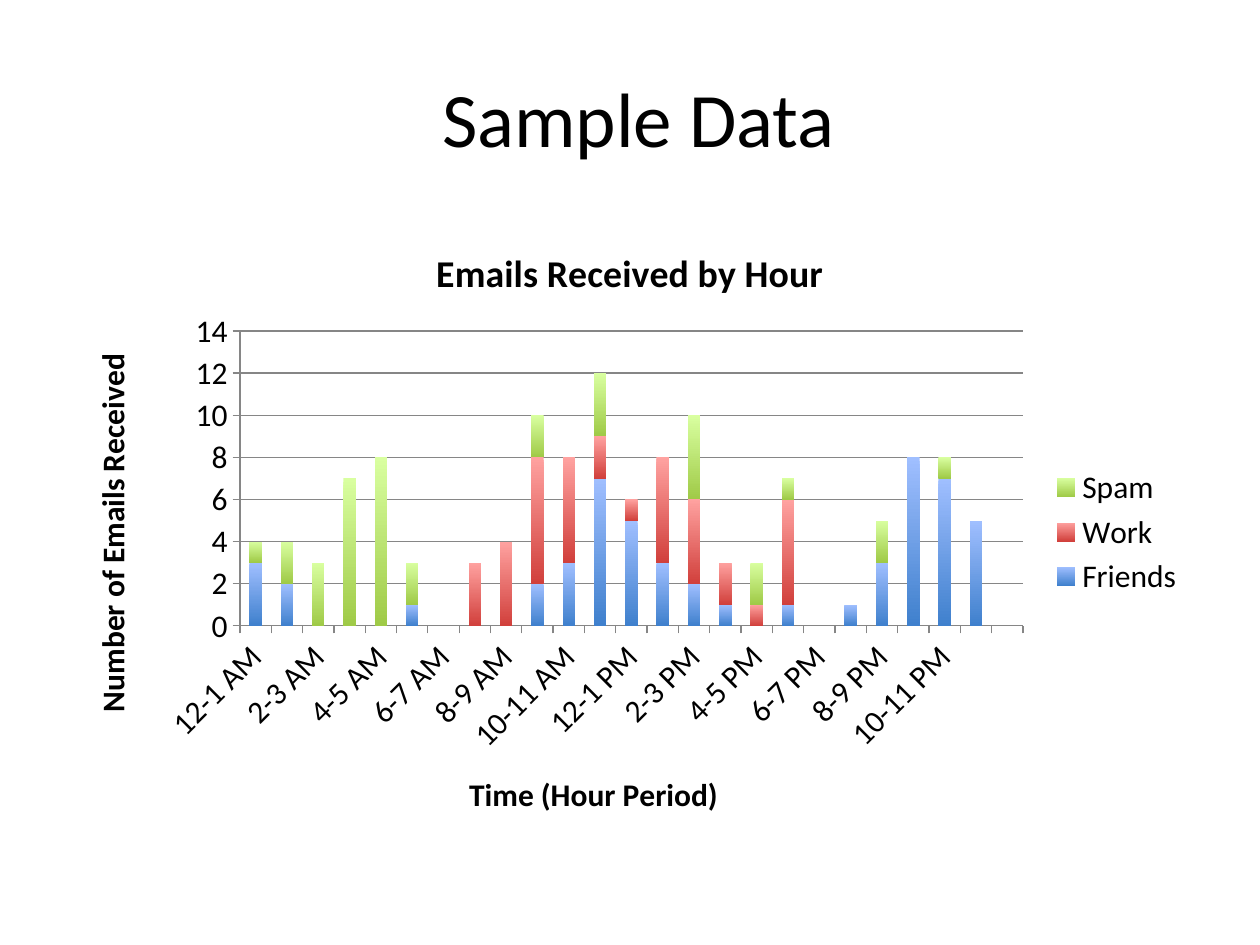
from lxml import etree
from pptx import Presentation
from pptx.chart.data import CategoryChartData
from pptx.dml.color import RGBColor
from pptx.enum.chart import XL_CHART_TYPE, XL_LEGEND_POSITION, XL_TICK_MARK
from pptx.enum.text import MSO_ANCHOR, PP_ALIGN
from pptx.oxml.ns import qn
from pptx.util import Emu, Pt

STACKED = XL_CHART_TYPE.COLUMN_STACKED
RIGHT = XL_LEGEND_POSITION.RIGHT
OUTSIDE = XL_TICK_MARK.OUTSIDE
CENTER = PP_ALIGN.CENTER
MIDDLE = MSO_ANCHOR.MIDDLE
SCALE = 914400 / 126
FONT = "Calibri"
BLACK = "000000"
GRAY = "868686"

HOURS = [
    "12-1 AM", "1-2 AM", "2-3 AM", "3-4 AM", "4-5 AM", "5-6 AM",
    "6-7 AM", "7-8 AM", "8-9 AM", "9-10 AM", "10-11 AM", "11-12 PM",
    "12-1 PM", "1-2 PM", "2-3 PM", "3-4 PM", "4-5 PM", "5-6 PM",
    "6-7 PM", "7-8 PM", "8-9 PM", "9-10 PM", "10-11 PM", "11-12 AM",
]
# Name, hourly counts, top colour, bottom colour
MAILS = [
    ("Friends", [3, 2, 0, 0, 0, 1, 0, 0, 0, 2, 3, 7,
                 5, 3, 2, 1, 0, 1, 0, 1, 3, 8, 7, 5], "A0BFFF", "3F80CD"),
    ("Work", [0, 0, 0, 0, 0, 0, 0, 3, 4, 6, 5, 2,
              1, 5, 4, 2, 1, 5, 0, 0, 0, 0, 0, 0], "FFA2A0", "D1403C"),
    ("Spam", [1, 2, 3, 7, 8, 2, 0, 0, 0, 2, 0, 3,
              0, 0, 4, 0, 2, 1, 0, 0, 2, 0, 1, 0], "D9FFA0", "9FCA47"),
]


def px(num):
    """Turn pixels into EMU."""
    return Emu(round(num * SCALE))


def color(code):
    """Turn a hex string into a colour."""
    return RGBColor.from_string(code)


def apply(item, **values):
    """Set each given attribute on the item."""
    for name, value in values.items():
        setattr(item, name, value)


def style(font, size, bold=False):
    """Format a font."""
    apply(font, name=FONT, size=Pt(size), bold=bold)
    font.color.rgb = color(BLACK)


def label(owner, text, size):
    """Give a chart or an axis a bold title."""
    owner.has_title = True
    para = owner.axis_title if hasattr(owner, "axis_title") else owner.chart_title
    para = para.text_frame.paragraphs[0]
    run = para.add_run()
    run.text = text
    style(run.font, size, True)


def rule(line):
    """Draw a thin grey chart line."""
    line.color.rgb = color(GRAY)
    line.width = Pt(0.75)


def fix_plot(chart, box, plot):
    """Pin the inner plot area, given relative to the chart box."""
    area = chart._chartSpace.find(".//" + qn("c:plotArea"))
    old = area.find(qn("c:layout"))
    if old is not None:
        area.remove(old)
    layout = etree.Element(qn("c:layout"))
    area.insert(0, layout)
    manual = etree.SubElement(layout, qn("c:manualLayout"))
    left, top, wide, high = plot
    parts = [("layoutTarget", "inner"), ("xMode", "edge"), ("yMode", "edge"),
             ("x", left / box[2]), ("y", top / box[3]),
             ("w", wide / box[2]), ("h", high / box[3])]
    for tag, value in parts:
        etree.SubElement(manual, qn("c:" + tag)).set("val", str(value))


def add_title(slide, text, box):
    """Fill and place the title placeholder."""
    title = slide.shapes.title
    left, top, wide, high = map(px, box)
    apply(title, left=left, top=top, width=wide, height=high)
    frame = title.text_frame
    apply(frame, text=text, vertical_anchor=MIDDLE)
    frame.paragraphs[0].alignment = CENTER
    style(frame.paragraphs[0].runs[0].font, 44)


def format_axes(chart):
    """Format both axes and the gridlines."""
    hours, count = chart.category_axis, chart.value_axis
    for axis, text in ((hours, "Time (Hour Period)"),
                       (count, "Number of Emails Received")):
        apply(axis, major_tick_mark=OUTSIDE)
        rule(axis.format.line)
        style(axis.tick_labels.font, 18)
        label(axis, text, 18)
    apply(count, minimum_scale=0, maximum_scale=14, major_unit=2,
          has_major_gridlines=True)
    rule(count.major_gridlines.format.line)
    body = hours._element.find(qn("c:txPr")).find(qn("a:bodyPr"))
    body.set("rot", "-2700000")
    skip = etree.Element(qn("c:tickLblSkip"))
    skip.set("val", "2")
    hours._element.find(qn("c:noMultiLvlLbl")).addprevious(skip)


def add_mails(slide, box):
    """Add the stacked column chart of emails per hour."""
    data = CategoryChartData()
    data.categories = HOURS + [""]
    for name, counts, _, _ in MAILS:
        data.add_series(name, counts + [None])
    chart = slide.shapes.add_chart(STACKED, *map(px, box), data).chart
    style(chart.font, 18)
    label(chart, "Emails Received by Hour", 21.6)
    format_axes(chart)
    chart.has_legend = True
    apply(chart.legend, position=RIGHT, include_in_layout=False)
    style(chart.legend.font, 18)
    bars = chart.plots[0]
    apply(bars, gap_width=150, overlap=100, vary_by_categories=False)
    for series, (_, _, light, dark) in zip(bars.series, MAILS):
        series.invert_if_negative = False
        fill = series.format.fill
        fill.gradient()
        fill.gradient_angle = 270
        for stop, code in zip(fill.gradient_stops, (light, dark)):
            stop.color.rgb = color(code)
    fix_plot(chart, box, (177, 111, 783, 295))


def main():
    """Build the slide and save it."""
    deck = Presentation()
    apply(deck, slide_width=px(1260), slide_height=px(945))
    slide = deck.slides.add_slide(deck.slide_layouts[5])
    add_title(slide, " Sample Data", (63, 38, 1134, 158))
    add_mails(slide, (63, 220, 1134, 624))
    deck.save("out.pptx")


main()
